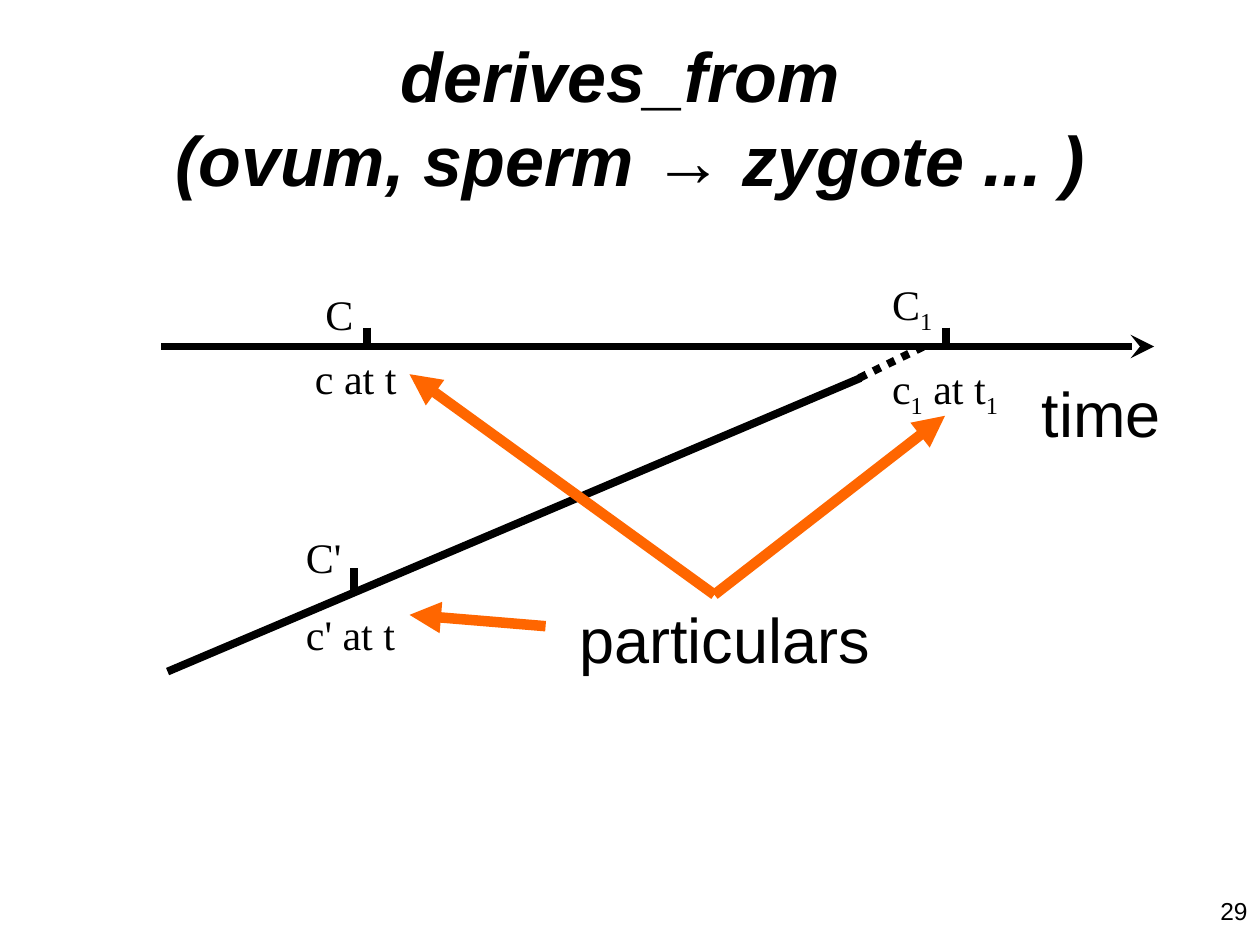
from dataclasses import dataclass
from lxml import etree
from pptx import Presentation
from pptx.dml.color import RGBColor
from pptx.enum.dml import MSO_LINE
from pptx.enum.shapes import MSO_CONNECTOR
from pptx.enum.text import MSO_ANCHOR, PP_ALIGN
from pptx.oxml.ns import qn
from pptx.util import Pt

LEFT, CENTER, RIGHT = PP_ALIGN.LEFT, PP_ALIGN.CENTER, PP_ALIGN.RIGHT
TOP, MIDDLE = MSO_ANCHOR.TOP, MSO_ANCHOR.MIDDLE
STRAIGHT = MSO_CONNECTOR.STRAIGHT
DOTS = MSO_LINE.ROUND_DOT
SCALE = 9144  # EMU per px, 100 px to the inch


@dataclass(frozen=True)
class Theme:
    ink: str = "000000"
    accent: str = "FF6600"
    sans: str = "Arial"
    serif: str = "Times New Roman"
    title: int = 40
    word: int = 36
    label: int = 24
    page: int = 14
    axis: float = 4.5
    arrow: float = 6


THEME = Theme()


def px(*nums):
    return [n * SCALE for n in nums]


def write(shape, paras, size, font=THEME.sans, align=LEFT, anchor=TOP,
          after=0, pad=(10, 5), bold=False, italic=False):
    """Fill a shape; each paragraph is a list of (text, mark) runs.

    Marks: "" plain, "sub" subscript, "up" upright, "br" line break after.
    """
    frame = shape.text_frame
    frame.word_wrap = True
    frame.vertical_anchor = anchor
    frame.margin_left, frame.margin_top = px(*pad)
    frame.margin_right, frame.margin_bottom = px(*pad)
    for i, runs in enumerate(paras):
        para = frame.add_paragraph() if i else frame.paragraphs[0]
        para.alignment = align
        para.space_before, para.space_after = Pt(0), Pt(after)
        for text, mark in runs:
            run = para.add_run()
            run.text = text
            face = run.font
            face.name, face.size = font, Pt(size)
            face.bold, face.italic = bold, italic and mark != "up"
            face.color.rgb = RGBColor.from_string(THEME.ink)
            if mark == "sub":
                run._r.get_or_add_rPr().set("baseline", "-25000")
            if mark == "br":
                para.add_line_break()


def note(shapes, box, paras, size, **style):
    write(shapes.add_textbox(*px(*box)), paras, size, **style)


def stroke(shapes, start, end, color=THEME.ink, width=THEME.axis,
           tip=None, dash=None):
    """Draw a straight line, with an arrowhead at its end if tip is given."""
    line = shapes.add_connector(STRAIGHT, *px(*start, *end))
    line.line.color.rgb = RGBColor.from_string(color)
    line.line.width = Pt(width)
    if dash:
        line.line.dash_style = dash
    if tip:
        etree.SubElement(line.line._get_or_add_ln(), qn("a:tailEnd"), type=tip)
    etree.SubElement(line._element.spPr, qn("a:effectLst"))


def heading(slide, box):
    title = slide.shapes.title
    title.left, title.top, title.width, title.height = px(*box)
    runs = [("derives_from ", "br"), ("(ovum, sperm ", ""), ("→", "up"),
            (" zygote ... )", "")]
    write(title, [runs], THEME.title, align=CENTER, anchor=MIDDLE,
          bold=True, italic=True)


def diagram(slide, box):
    """Time axis, merging branch, ticks and instance labels."""
    x, y = box[:2]
    shapes = slide.shapes

    def at(dx, dy):
        return x + dx, y + dy

    # Axis and branch; the dots lead the branch into the axis
    stroke(shapes, at(0, 58), at(788, 58), tip="stealth")
    stroke(shapes, at(5, 316), at(555, 83))
    stroke(shapes, at(554, 83), at(605, 58), dash=DOTS)

    # Ticks
    for dx, dy in ((163, 43), (623, 43), (153, 234)):
        stroke(shapes, at(dx, dy), at(dx, dy + 17))

    # Class above, instance below each tick
    labels = [
        ((114, 8), (106, 112), 8, (8, 4),
         [[(" C", "")], [("c at t", "")]]),
        ((572, 0), (120, 134), 15, (8, 4),
         [[("C", ""), ("1", "sub")],
          [("c", ""), ("1", "sub"), (" at t", ""), ("1", "sub")]]),
        ((105, 200), (167, 111), 15, (10, 5),
         [[("C'", "")], [("c' at t", "")]]),
    ]
    for spot, size, after, pad, paras in labels:
        note(shapes, at(*spot) + size, paras, THEME.label,
             font=THEME.serif, after=after, pad=pad)
    note(shapes, at(689, 75) + (242, 70), [[("time", "")]], THEME.word)


def callout(slide, box):
    """The word with its arrows to the three instances, as one group."""
    x, y = box[:2]
    shapes = slide.shapes.add_group_shape().shapes
    note(shapes, (x + 125, y + 175, 342, 70), [[("particulars", "")]],
         THEME.word)
    fork = (242, 175)
    for start, end in ((fork, (425, 33)), (fork, (0, 0)),
                       ((108, 200), (0, 191))):
        stroke(shapes, (x + start[0], y + start[1]),
               (x + end[0], y + end[1]),
               color=THEME.accent, width=THEME.arrow, tip="triangle")


def main():
    deck = Presentation()
    deck.slide_width, deck.slide_height = px(1000, 750)
    slide = deck.slides.add_slide(deck.slide_layouts[5])
    heading(slide, (50, 30, 900, 125))
    diagram(slide, (128, 217, 931, 316))
    callout(slide, (325, 297, 467, 245))
    note(slide.shapes, (767, 706, 233, 52), [[("29", "")]], THEME.page,
         align=RIGHT)
    deck.save("out.pptx")


if __name__ == "__main__":
    main()
